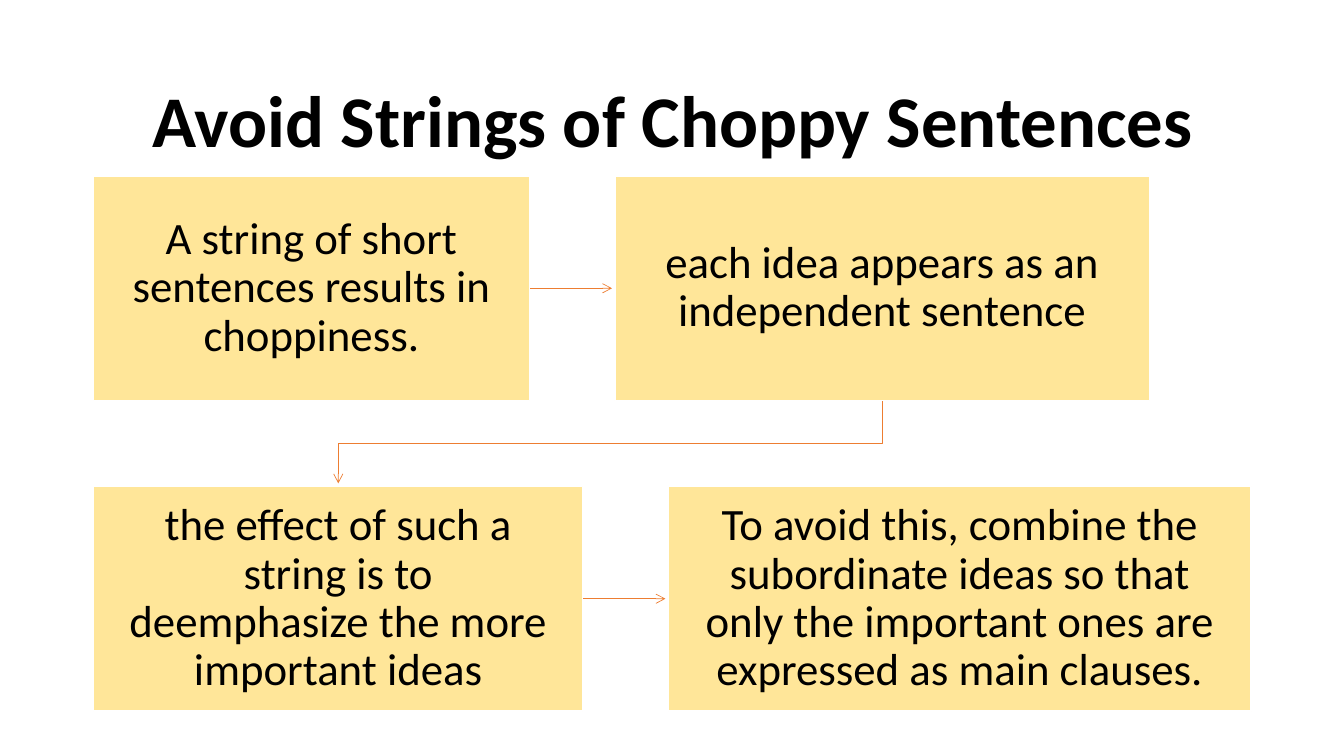
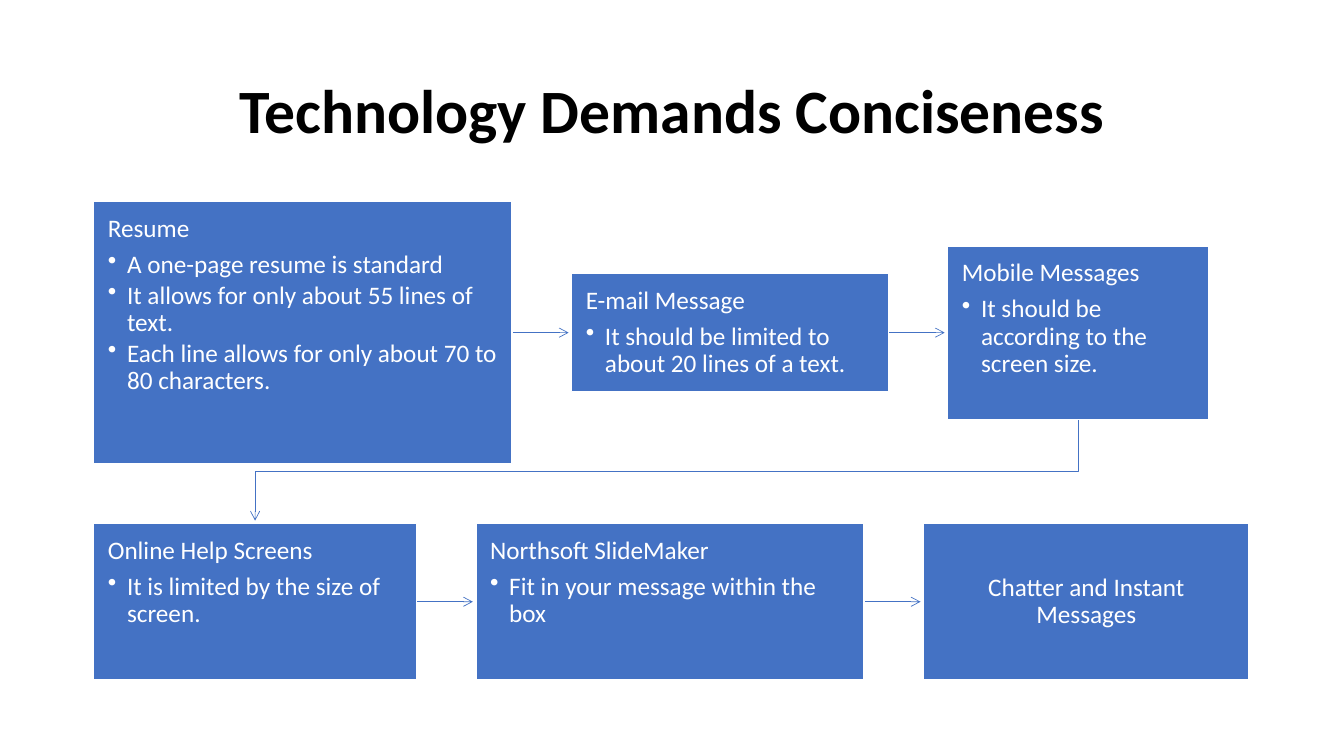
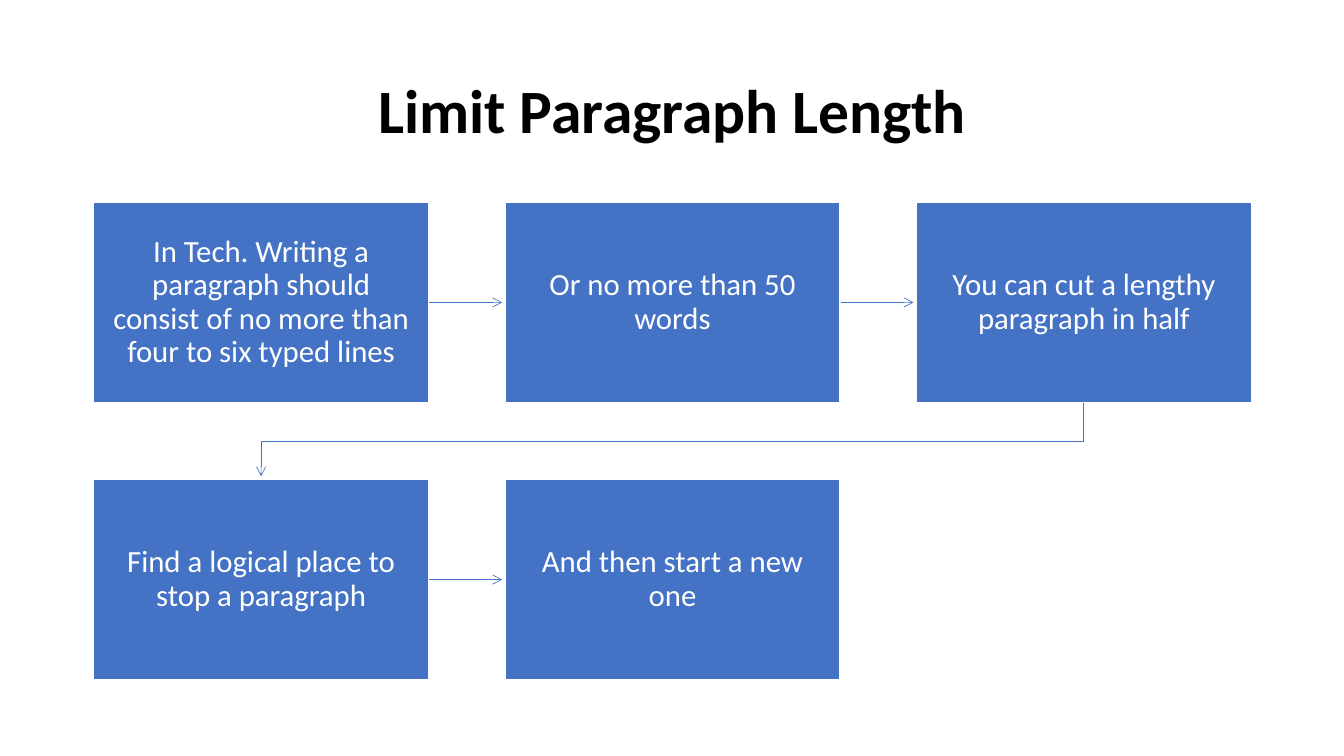
from dataclasses import dataclass
from lxml import etree
from pptx import Presentation
from pptx.dml.color import RGBColor
from pptx.enum import shapes, text
from pptx.oxml.ns import qn
from pptx.util import Inches, Pt


@dataclass
class Theme:
    font: str = "Calibri"
    black: str = "000000"
    white: str = "FFFFFF"
    blue: str = "4472C4"
    sand: str = "FFE699"
    orange: str = "ED7D31"
    left: float = 0.93      # left edge of each row
    stop: float = 0.03      # room between arrow tip and box
    lead: float = 0.9
    arrow: float = 0.5
    edge: float = 1


theme = Theme()


def style(par, size, color, after=0, bold=False):
    par.font.name, par.font.size, par.font.bold = theme.font, Pt(size), bold
    par.font.color.rgb = RGBColor.from_string(color)
    par.line_spacing = theme.lead
    par.space_after = Pt(size * after)


def point(line, color):
    """Give a line its colour, its width and an open arrowhead."""
    line.line.color.rgb = RGBColor.from_string(color)
    line.line.width = Pt(theme.arrow)
    props = line._element.spPr
    etree.SubElement(props.find(qn("a:ln")), qn("a:tailEnd"), type="arrow")
    etree.SubElement(props, qn("a:effectLst"))


# Rows hold a middle height and boxes: width, height, heading, bullets
flows = [
    dict(title="Avoid Strings of Choppy Sentences", top=0.61, high=1.24, big=52,
         fill=theme.sand, ink=theme.black, line=theme.orange,
         size=32, inset=0.25, gap=0.85, rows=[
             (2.86, [
                 (4.32, 2.23, "A string of short sentences results in choppiness."),
                 (5.3, 2.23, "each idea appears as an independent sentence")]),
             (5.94, [
                 (4.85, 2.23, "the effect of such a string is to deemphasize "
                  "the more important ideas"),
                 (5.78, 2.23, "To avoid this, combine the subordinate ideas so that "
                  "only the important ones are expressed as main clauses.")])]),
    dict(title="Technology Demands Conciseness", top=0.4, high=1.45, big=44,
         fill=theme.blue, ink=theme.white, line=theme.blue,
         size=18, inset=0.14, gap=0.59, rows=[
             (3.3, [
                 (4.15, 2.6, "Resume", "A one-page resume is standard",
                  "It allows for only about 55 lines of text.",
                  "Each line allows for only about 70 to 80 characters."),
                 (3.14, 1.17, "E-mail Message",
                  "It should be limited to about 20 lines of a text."),
                 (2.59, 1.72, "Mobile Messages",
                  "It should be according to the screen size.")]),
             (5.97, [
                 (3.2, 1.55, "Online Help Screens",
                  "It is limited by the size of screen."),
                 (3.85, 1.55, "Northsoft SlideMaker",
                  "Fit in your message within the box"),
                 (3.23, 1.55, "Chatter and Instant Messages")])]),
    dict(title="Limit Paragraph Length", top=0.4, high=1.45, big=44,
         fill=theme.blue, ink=theme.white, line=theme.blue,
         size=22, inset=0.17, gap=0.76, rows=[
             (3, [
                 (3.32, 1.99, "In Tech. Writing a paragraph should consist of "
                  "no more than four to six typed lines"),
                 (3.32, 1.99, "Or no more than 50 words"),
                 (3.32, 1.99, "You can cut a lengthy paragraph in half")]),
             (5.75, [
                 (3.32, 1.99, "Find a logical place to stop a paragraph"),
                 (3.32, 1.99, "And then start a new one")])]),
]

deck = Presentation()
deck.slide_width, deck.slide_height = Inches(13.33), Inches(7.5)

for flow in flows:
    slide = deck.slides.add_slide(deck.slide_layouts[6])

    # Title
    title = slide.shapes.add_textbox(Inches(0.92), Inches(flow["top"]),
                                     Inches(11.5), Inches(flow["high"])).text_frame
    title.word_wrap = True
    title.vertical_anchor = text.MSO_ANCHOR.MIDDLE
    title.text = flow["title"]
    style(title.paragraphs[0], flow["big"], theme.black, bold=True)
    title.paragraphs[0].alignment = text.PP_ALIGN.CENTER

    # Place boxes from left to right around the middle of their row
    boxes = []
    for mid, row in flow["rows"]:
        left = theme.left
        for wide, high, *words in row:
            boxes.append((left, mid, wide, high, words))
            left += wide + flow["gap"]

    # Arrows: straight within a row, bent down to the next row
    for (left, mid, wide, high, _), (to, level, span, tall, _) in zip(boxes, boxes[1:]):
        if level == mid:
            line = slide.shapes.add_connector(
                shapes.MSO_CONNECTOR.STRAIGHT, Inches(left + wide), Inches(mid),
                Inches(to - theme.stop), Inches(mid))
        else:
            start, end = left + wide / 2, to + span / 2
            base, roof = mid + high / 2, level - tall / 2
            bend = (base + roof) / 2
            path = slide.shapes.build_freeform(Inches(start), Inches(base))
            path.add_line_segments(
                [(Inches(x), Inches(y)) for x, y in
                 [(start, bend), (end, bend), (end, roof - theme.stop)]], close=False)
            line = path.convert_to_shape()
            line.fill.background()
        point(line, flow["line"])

    # Boxes: plain ones are centred, bulleted ones start at the top left
    for left, mid, wide, high, words in boxes:
        box = slide.shapes.add_shape(
            shapes.MSO_SHAPE.RECTANGLE, Inches(left), Inches(mid - high / 2),
            Inches(wide), Inches(high))
        box.shadow.inherit = False
        box.fill.solid()
        box.fill.fore_color.rgb = RGBColor.from_string(flow["fill"])
        box.line.color.rgb = RGBColor.from_string(theme.white)
        box.line.width = Pt(theme.edge)
        frame = box.text_frame
        frame.word_wrap = True
        frame.margin_left = frame.margin_right = Inches(flow["inset"])
        frame.margin_top = frame.margin_bottom = Inches(flow["inset"])
        plain = len(words) == 1
        frame.vertical_anchor = text.MSO_ANCHOR.MIDDLE if plain else text.MSO_ANCHOR.TOP
        for i, word in enumerate(words):
            par = frame.add_paragraph() if i else frame.paragraphs[0]
            par.text = word
            par.alignment = text.PP_ALIGN.CENTER if plain else text.PP_ALIGN.LEFT
            style(par, flow["size"], flow["ink"], after=0.15 if i else 0.35)
            if i:
                par.level = 1
                props = par._p.get_or_add_pPr()
                props.set("marL", str(Inches(0.19)))
                props.set("indent", str(-Inches(0.19)))
                mark = etree.Element(qn("a:buChar"), char="•")
                props.find(qn("a:spcAft")).addnext(mark)

deck.save("out.pptx")
